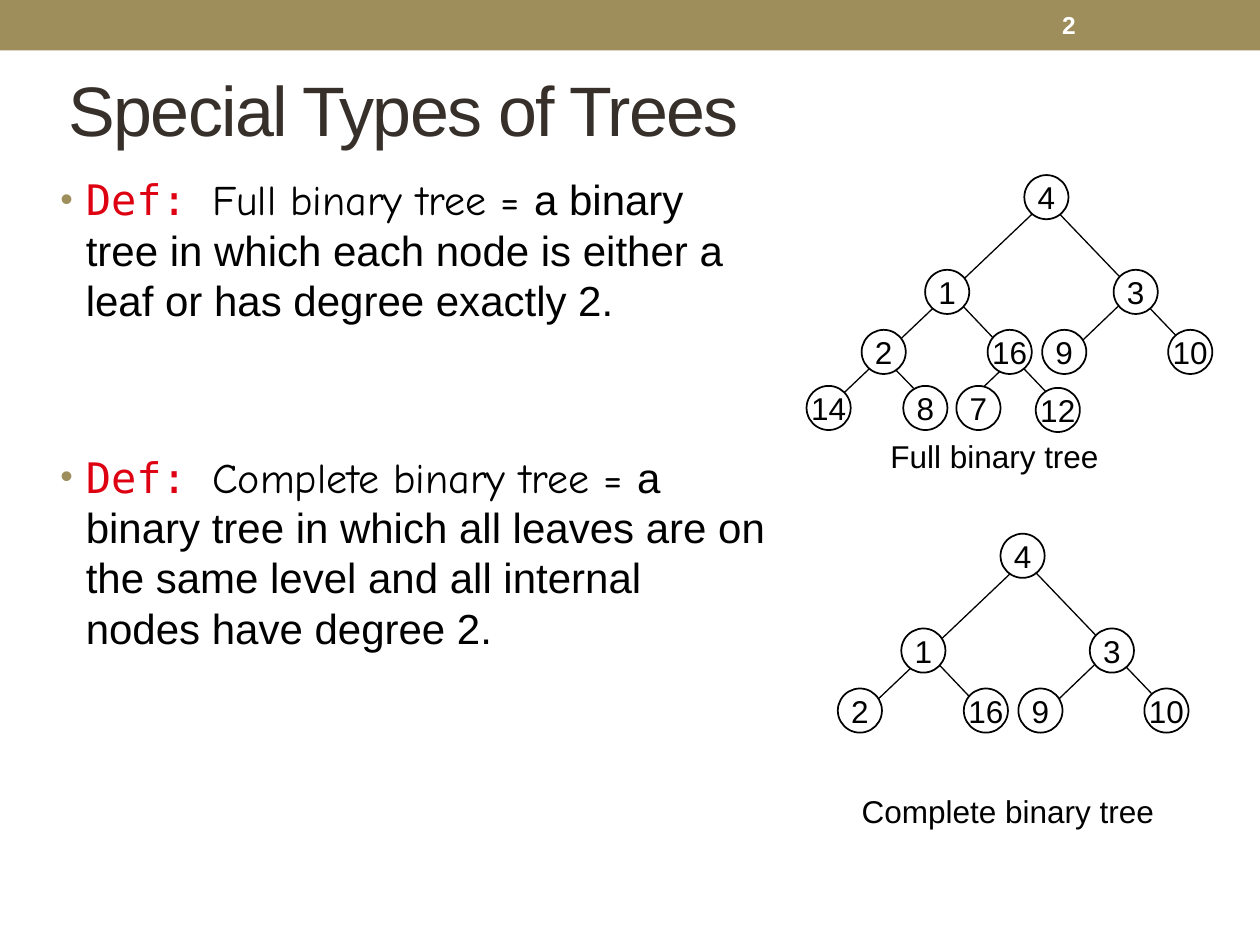
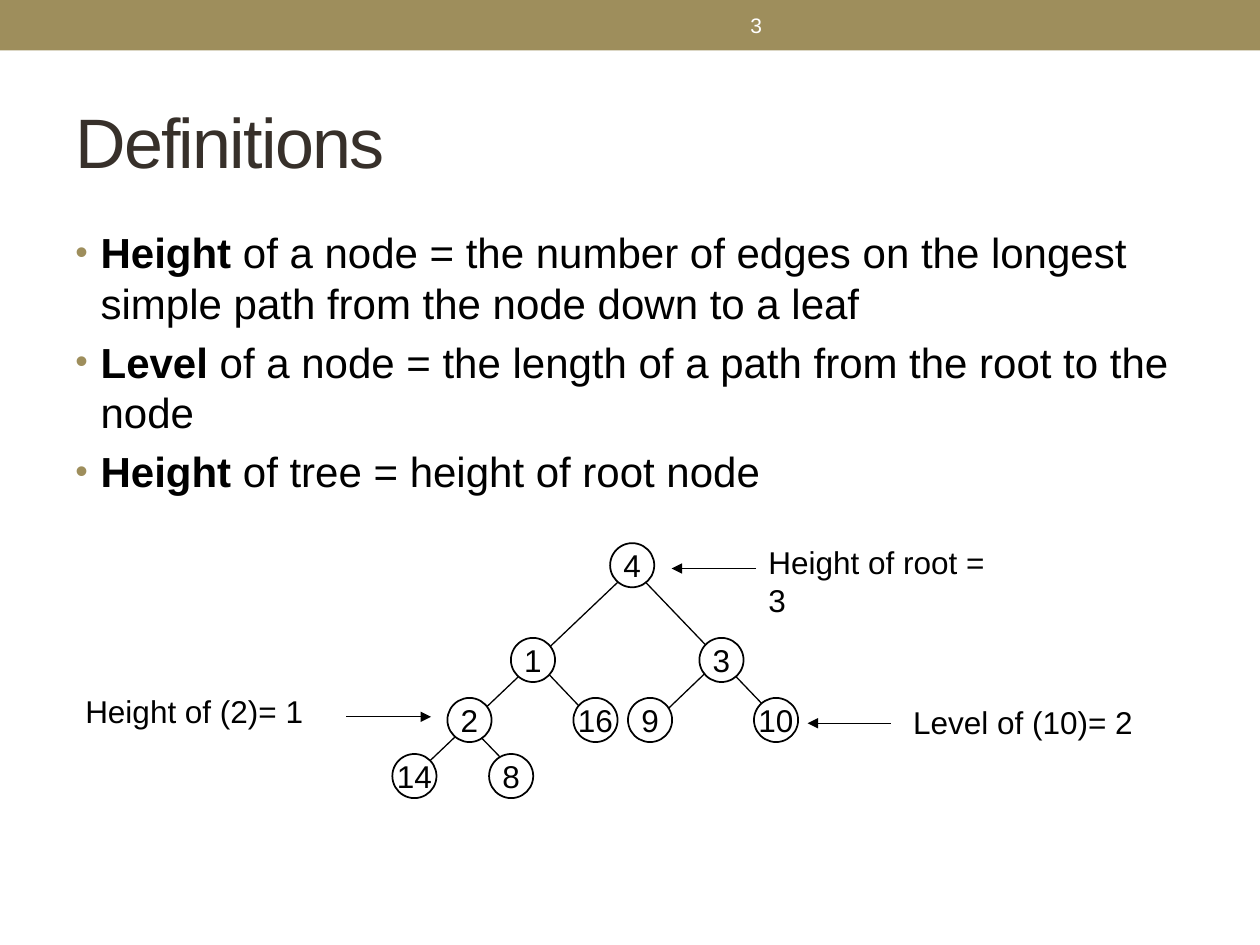
import dataclasses

import lxml.etree
import pptx
import pptx.dml.color
import pptx.enum.shapes
import pptx.enum.text
import pptx.oxml.ns
import pptx.util

Cm, Pt = pptx.util.Cm, pptx.util.Pt
Align = pptx.enum.text.PP_ALIGN
Anchor = pptx.enum.text.MSO_ANCHOR
Shape = pptx.enum.shapes.MSO_SHAPE


@dataclasses.dataclass(frozen=True)
class Theme:
    band: str = "9E8E5C"
    title: str = "37302A"
    ink: str = "000000"
    paper: str = "FFFFFF"
    term: str = "DD0111"
    sans: str = "Arial"
    hand: str = "Comic Neue"
    mono: str = "DejaVu Sans Mono"
    head: int = 40
    body: int = 24
    label: int = 18
    page: int = 14
    small: int = 12
    gap: int = 5


THEME = Theme()
WIDE, HIGH = 25.4, 19.05
NODE = 0.89

# Corner of each node, in cm from the corner of the root.
SPOTS = {
    4: (0, 0),
    1: (-2, 1.91), 3: (1.8, 1.91),
    2: (-3.28, 3.12), 16: (-0.74, 3.12), 9: (0.36, 3.12), 10: (2.9, 3.12),
    14: (-4.39, 4.25), 8: (-2.44, 4.25), 7: (-1.37, 4.25), 12: (0.23, 4.29),
}
# Branches by their lowest node; long ones run on up to the root.
EDGES = {
    12: (1.02, 4.98, -0.46, 3.43),
    7: (-1.24, 4.67, -0.1, 3.58),
    9: (0.81, 3.68, 2.24, 2.31),
    8: (-1.65, 4.9, -3.12, 3.38),
    16: (-0.25, 3.68, -1.6, 2.26),
    10: (3.58, 3.78, 0.18, 0.23),
    14: (-3.91, 4.65, 0.53, 0.43),
    2: (-2.97, 3.81, 0.61, 0.41),
}
SMALL = (4, 1, 3, 2, 16, 9, 10)


def tint(code):
    return pptx.dml.color.RGBColor.from_string(code)


def tag(parent, name, **values):
    return lxml.etree.SubElement(parent, pptx.oxml.ns.qn(name), values)


def style(para, text, size=THEME.label, font=THEME.sans, color=THEME.ink,
          bold=False, track=None):
    """Add a run of text to a paragraph."""
    run = para.add_run()
    run.text = text
    run.font.size = Pt(size)
    run.font.name = font
    run.font.bold = bold
    run.font.color.rgb = tint(color)
    if track:
        run.font._element.set("spc", str(track))


def write(slide, box, text, anchor=Anchor.TOP, align=Align.LEFT, wrap=True,
          **look):
    frame = slide.shapes.add_textbox(*map(Cm, box)).text_frame
    frame.word_wrap = wrap
    frame.vertical_anchor = anchor
    para = frame.paragraphs[0]
    para.alignment = align
    style(para, text, **look)


def form(slide, kind, box, fill, line=None):
    shape = slide.shapes.add_shape(kind, *map(Cm, box))
    shape.shadow.inherit = False
    shape.fill.solid()
    shape.fill.fore_color.rgb = tint(fill)
    if line:
        shape.line.color.rgb = tint(line)
        shape.line.width = Pt(1)
    else:
        shape.line.fill.background()
    return shape


def link(slide, x1, y1, x2, y2, arrow=False):
    line = slide.shapes.add_connector(
        pptx.enum.shapes.MSO_CONNECTOR.STRAIGHT, *map(Cm, (x1, y1, x2, y2)))
    line.line.color.rgb = tint(THEME.ink)
    line.line.width = Pt(0.75)
    if arrow:
        tag(line.line._get_or_add_ln(), "a:tailEnd", type="triangle")
    tag(line._element.spPr, "a:effectLst")


def points(slide, box, items, gap=THEME.gap):
    """Bulleted list; each item is a list of (text, format) runs."""
    frame = slide.shapes.add_textbox(*map(Cm, box)).text_frame
    frame.word_wrap = True
    for i, runs in enumerate(items):
        para = frame.add_paragraph() if i else frame.paragraphs[0]
        para.space_before = Pt(gap if i else 0)
        props = para._p.get_or_add_pPr()
        dent = Cm(0.51)
        props.set("marL", str(dent))
        props.set("indent", str(-dent))
        tag(tag(props, "a:buClr"), "a:srgbClr", val=THEME.band)
        tag(props, "a:buSzPct", val="85000")
        tag(props, "a:buFont", typeface=THEME.sans)
        tag(props, "a:buChar", char="•")
        for text, look in runs:
            style(para, text, size=THEME.body, **look)


def tree(slide, root, nodes):
    """Draw the chosen nodes and their branches from the root corner."""
    left, top = root
    for low, (x1, y1, x2, y2) in EDGES.items():
        if low in nodes and not (low == 2 and 14 in nodes):
            link(slide, left + x1, top + y1, left + x2, top + y2)
    for value in nodes:
        x, y = SPOTS[value]
        disc = form(slide, Shape.OVAL, (left + x, top + y, NODE, NODE),
                    THEME.paper, THEME.ink)
        frame = disc.text_frame
        frame.margin_left = frame.margin_right = 0
        frame.margin_top = frame.margin_bottom = 0
        frame.word_wrap = False
        frame.vertical_anchor = Anchor.MIDDLE
        frame.paragraphs[0].alignment = Align.CENTER
        style(frame.paragraphs[0], str(value))


def label(slide, box, text):
    write(slide, box, text, wrap=False)


def base(deck, title, box, page, spot, **look):
    """Start a slide with its band, title and page number."""
    slide = deck.slides.add_slide(deck.slide_layouts[6])
    form(slide, Shape.RECTANGLE, (0, 0, WIDE, 1.02), THEME.band)
    write(slide, box, title, anchor=Anchor.MIDDLE, size=THEME.head,
          color=THEME.title, track=-100)
    write(slide, spot, page, anchor=Anchor.MIDDLE, color=THEME.paper, **look)
    return slide


def types(deck):
    slide = base(deck, "Special Types of Trees", (1.14, 1, 22.8, 2.39),
                 "2", (21.16, 0.05, 2.97, 0.91), size=THEME.page, bold=True)
    pairs = (
        ("Full binary tree = ", "a binary tree in which each node is either "
         "a leaf or has degree exactly 2."),
        ("Complete binary tree = ", "a binary tree in which all leaves are on "
         "the same level and all internal nodes have degree 2."),
    )
    points(slide, (0.97, 3.38, 14.75, 14.3), [
        [("Def: ", {"font": THEME.mono, "color": THEME.term}),
         (name, {"font": THEME.hand}), (text, {})]
        for name, text in pairs], gap=72)
    tree(slide, (20.65, 3.53), tuple(SPOTS))
    label(slide, (17.7, 8.69, 4.7, 1.02), "Full binary tree")
    tree(slide, (20.17, 10.76), SMALL)
    label(slide, (17.12, 15.84, 6.4, 1.02), "Complete binary tree")


def terms(deck):
    slide = base(deck, "Definitions", (1.27, 1.47, 22.86, 2.74),
                 "3", (9.53, 0.05, 11.43, 0.91), size=THEME.small,
                 align=Align.CENTER)
    pairs = (
        ("Height", " of a node = the number of edges on the longest simple "
         "path from the node down to a leaf"),
        ("Level", " of a node = the length of a path from the root to the "
         "node"),
        ("Height", " of tree = height of root node"),
    )
    points(slide, (1.27, 4.45, 22.86, 13.54), [
        [(name, {"bold": True}), (text, {})] for name, text in pairs])
    tree(slide, (12.3, 10.95), SMALL + (14, 8))
    notes = (
        ("Height of root = 3", (15.24, 10.82, 5.38), (15.24, 11.46, 13.54)),
        ("Height of (2)= 1", (1.47, 13.82, 4.9), (6.98, 14.45, 8.69)),
        ("Level of (10)= 2", (18.16, 14.05, 4.93), (17.96, 14.58, 16.28)),
    )
    for text, place, (start, y, end) in notes:
        label(slide, (*place, 1.02), text)
        link(slide, start, y, end, y, arrow=True)


def main():
    deck = pptx.Presentation()
    deck.slide_width, deck.slide_height = Cm(WIDE), Cm(HIGH)
    types(deck)
    terms(deck)
    deck.save("out.pptx")


if __name__ == "__main__":
    main()
